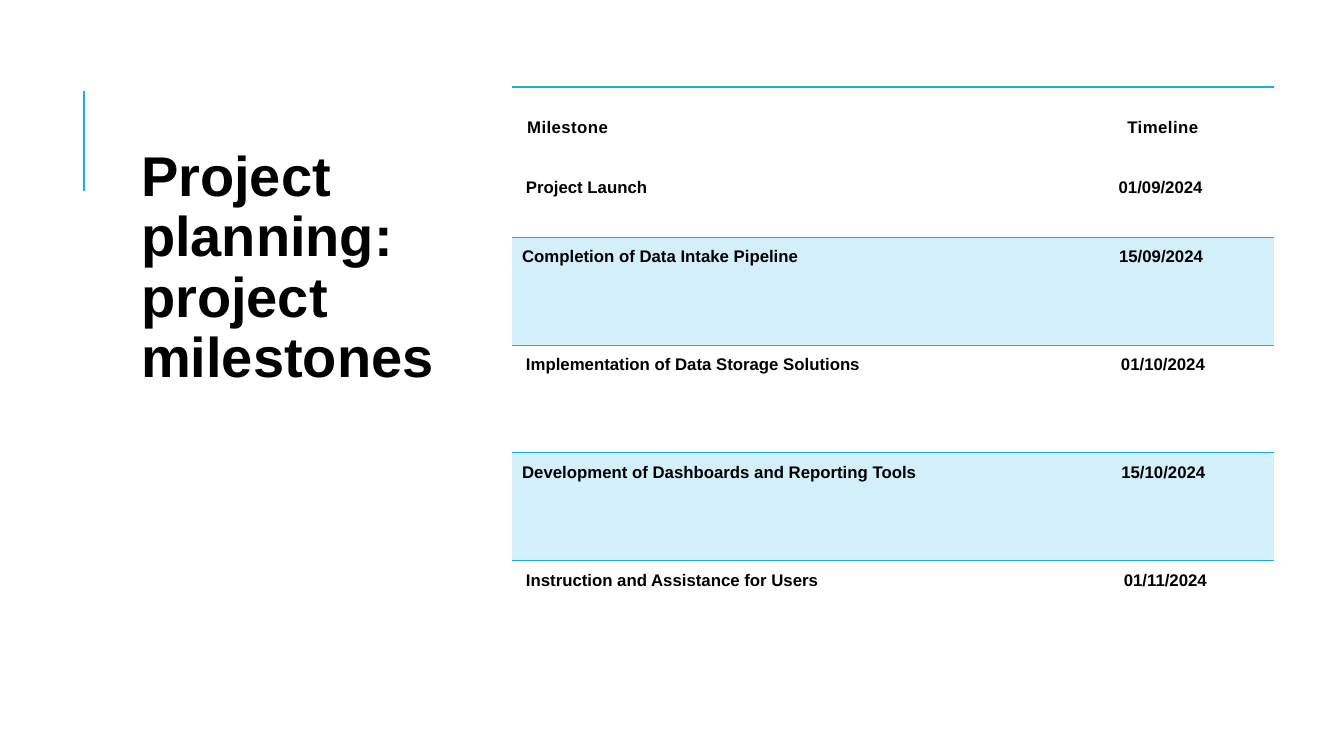
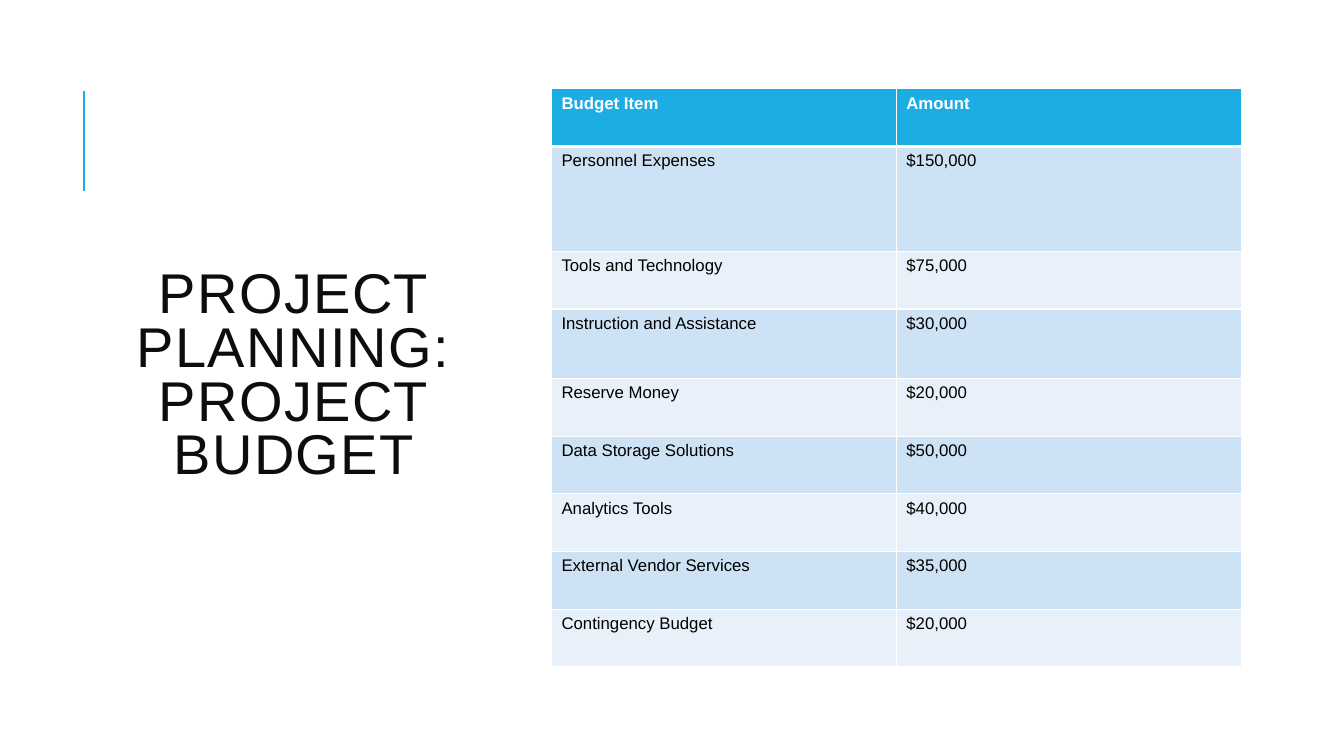
"""Build two project planning slides: milestones and budget."""
from dataclasses import dataclass

from pptx import Presentation, util as u
from pptx.dml.color import RGBColor
from pptx.enum import shapes, text
from pptx.oxml import parse_xml
from pptx.oxml.ns import nsdecls, qn


@dataclass(frozen=True)
class Theme:
    """Colours, font and type sizes shared by the slides."""
    font: str = "Arial"
    title_size: int = 40
    body_size: int = 12
    accent: str = "1CADE4"
    paper: str = "FFFFFF"
    ink: str = "000000"
    soft_ink: str = "0D0D0D"
    milestone_band: str = "D2EFFA"
    budget_bands: tuple = ("CDE3F5", "E8F1FA")


THEME = Theme()
WIDTH, HEIGHT = u.Inches(13.33), u.Inches(7.5)
NO_STYLE = "{2D5ABB26-0587-4C30-8999-92F81FD0307C}"
ALIGN, ANCHOR = text.PP_ALIGN, text.MSO_ANCHOR
SPACE = 0.046

MILESTONES = [
    ("Project Launch", "01/09/2024"),
    ("Completion of Data Intake Pipeline", "15/09/2024"),
    ("Implementation of Data Storage Solutions", "01/10/2024"),
    ("Development of Dashboards and Reporting Tools", "15/10/2024"),
    ("Instruction and Assistance for Users", "01/11/2024"),
]
DATE_INDENTS = [3, 1, 4, 2, 5]
BUDGET = [
    ("Personnel Expenses", "$150,000"),
    ("Tools and Technology", "$75,000"),
    ("Instruction and Assistance", "$30,000"),
    ("Reserve Money", "$20,000"),
    ("Data Storage Solutions", "$50,000"),
    ("Analytics Tools", "$40,000"),
    ("External Vendor Services", "$35,000"),
    ("Contingency Budget", "$20,000"),
]


def across(percent):
    """Return a percentage of the slide width."""
    return u.Emu(round(WIDTH * percent / 100))


def down(percent):
    """Return a percentage of the slide height."""
    return u.Emu(round(HEIGHT * percent / 100))


def set_margins(holder, left, top, right, bottom):
    """Set the inner margins of a cell or text frame in inches."""
    holder.margin_left, holder.margin_top = u.Inches(left), u.Inches(top)
    holder.margin_right, holder.margin_bottom = u.Inches(right), u.Inches(bottom)


def style_paragraph(paragraph, size, color, bold=False, align=ALIGN.LEFT, spacing=0):
    """Format a paragraph and its runs; letter spacing is in points."""
    paragraph.alignment = align
    for run in paragraph.runs:
        run.font.name, run.font.size, run.font.bold = THEME.font, u.Pt(size), bold
        run.font.color.rgb = RGBColor.from_string(color)
        if spacing:
            run.font._element.set("spc", str(round(spacing * 100)))


def add_slide(deck):
    """Add a white slide with the accent rule beside the title."""
    slide = deck.slides.add_slide(deck.slide_layouts[6])
    slide.background.fill.solid()
    slide.background.fill.fore_color.rgb = RGBColor.from_string(THEME.paper)
    rule = slide.shapes.add_connector(
        shapes.MSO_CONNECTOR.STRAIGHT, across(6.25), down(25.33), across(6.25), down(12))
    rule.line.color.rgb = RGBColor.from_string(THEME.accent)
    rule.line.width = u.Pt(1.5)
    rule._element.spPr.append(parse_xml(f"<a:effectLst {nsdecls('a')}/>"))
    return slide


def add_title(slide, wording, left, top, width, height, color,
              line_spacing, side=0.1, anchor=ANCHOR.TOP, **style):
    """Add a slide title in a box given in slide percentages."""
    frame = slide.shapes.add_textbox(
        across(left), down(top), across(width), down(height)).text_frame
    frame.word_wrap = True
    frame.vertical_anchor = anchor
    set_margins(frame, side, 0.05, side, 0.05)
    frame.text = wording
    frame.paragraphs[0].line_spacing = line_spacing
    style_paragraph(frame.paragraphs[0], THEME.title_size, color, **style)


def add_grid(slide, left, top, columns, rows):
    """Add an unstyled table from column and row percentages."""
    table = slide.shapes.add_table(
        len(rows), len(columns), across(left), down(top),
        across(sum(columns)), down(sum(rows))).table
    table.first_row = table.horz_banding = False
    table._tbl.tblPr.find(qn("a:tableStyleId")).text = NO_STYLE
    for column, share in zip(table.columns, columns):
        column.width = across(share)
    for row, share in zip(table.rows, rows):
        row.height = down(share)
    return table


def fill_cell(cell, wording, color, fill=None, **style):
    """Write a cell and set its text style and background."""
    cell.text_frame.text = wording
    style_paragraph(cell.text_frame.paragraphs[0], THEME.body_size, color, **style)
    if fill:
        cell.fill.solid()
        cell.fill.fore_color.rgb = RGBColor.from_string(fill)
    else:
        cell.fill.background()


def set_borders(cell, color, **widths):
    """Draw cell edges; keys L, R, T and B give widths in points."""
    properties = cell._tc.get_or_add_tcPr()
    edges = [edge for edge in "LRTB" if edge in widths]
    for position, edge in enumerate(edges):
        properties.insert(position, parse_xml(
            f'<a:ln{edge} {nsdecls("a")} w="{u.Pt(widths[edge])}"><a:solidFill>'
            f'<a:srgbClr val="{color}"/></a:solidFill></a:ln{edge}>'))


def add_milestones(slide):
    """Add the milestone table with ruled, tinted alternate rows."""
    table = add_grid(slide, 38.1, 11.5, [40.28, 16.43], [10.8, 9.07] + [14.27] * 4)
    for column, heading in enumerate(("Milestone", "Timeline")):
        cell = table.cell(0, column)
        fill_cell(cell, heading, THEME.ink, bold=True, spacing=0.3,
                  align=ALIGN.CENTER if column else ALIGN.LEFT)
        cell.vertical_anchor = ANCHOR.MIDDLE
        set_margins(cell, 0 if column else 0.15, 0.1, 0.02, 0.1)
        set_borders(cell, THEME.accent, T=1.5)
    for row, (entry, indent) in enumerate(zip(MILESTONES, DATE_INDENTS), 1):
        tinted = row % 2 == 0
        base = 0.1 if tinted else 0
        lefts = (base if tinted else 3 * SPACE, base + indent * SPACE)
        for column, wording in enumerate(entry):
            cell = table.cell(row, column)
            fill_cell(cell, wording, THEME.ink, THEME.milestone_band if tinted else None,
                      bold=True, align=ALIGN.CENTER if column else ALIGN.LEFT)
            set_margins(cell, lefts[column], 0.1, 0.2, 0.1)
            if tinted:
                set_borders(cell, THEME.accent, T=0.75)


def add_budget(slide):
    """Add the budget table with a solid header and banded rows."""
    rows = [7.63, 13.87, 7.63, 9.2] + [7.63] * 5
    table = add_grid(slide, 41.03, 11.75, [25.66] * 2, rows)
    for row, entry in enumerate([("Budget Item", "Amount")] + BUDGET):
        header = row == 0
        fill = THEME.accent if header else THEME.budget_bands[(row - 1) % 2]
        for column, wording in enumerate(entry):
            cell = table.cell(row, column)
            fill_cell(cell, wording, THEME.paper if header else THEME.ink, fill, bold=header)
            set_borders(cell, THEME.paper, L=1, R=1, T=3 if row == 1 else 1,
                        B=3 if header else 1)


def main():
    """Build and save the deck."""
    deck = Presentation()
    deck.slide_width, deck.slide_height = WIDTH, HEIGHT

    milestones = add_slide(deck)
    add_title(milestones, "Project planning: project milestones", 10.13, 18.93, 25.73, 57.33,
              THEME.ink, line_spacing=0.9, side=0.05, bold=True)
    add_milestones(milestones)

    budget = add_slide(deck)
    add_title(budget, "PROJECT PLANNING: PROJECT BUDGET", 7.95, 11.73, 27.83, 76.53,
              THEME.soft_ink, line_spacing=0.8, anchor=ANCHOR.MIDDLE,
              align=ALIGN.CENTER, spacing=1)
    add_budget(budget)

    deck.save("out.pptx")


if __name__ == "__main__":
    main()
